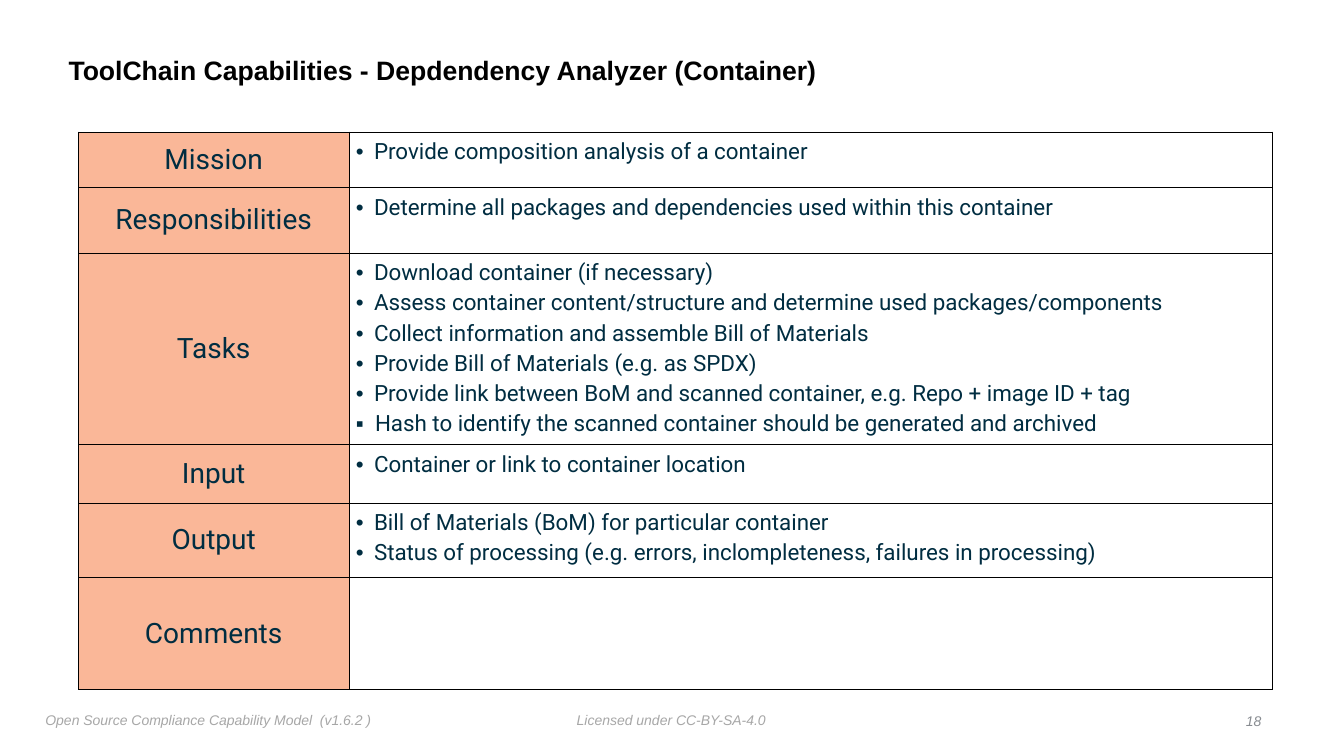
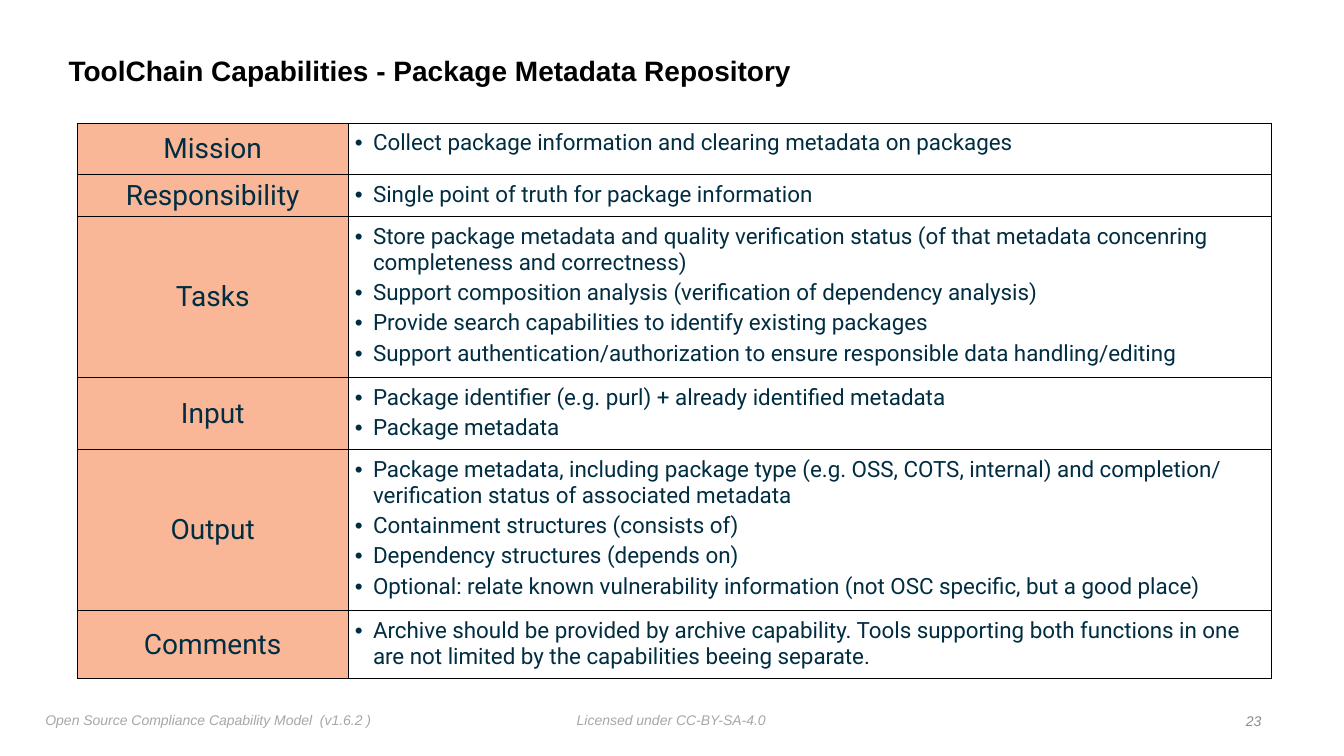
from dataclasses import dataclass

from lxml.etree import SubElement
from pptx import Presentation
from pptx.dml.color import RGBColor
from pptx.enum.text import MSO_ANCHOR, MSO_AUTO_SIZE, PP_ALIGN
from pptx.oxml.ns import qn
from pptx.slide import Slide
from pptx.table import _Cell
from pptx.util import Inches, Pt

BLACK, NAVY, PEACH = "000000", "002D41", "FAB798"
FOOTER_GREY, NUMBER_GREY = "A7A7A7", "888C91"
LABEL_WIDTH, DETAIL_WIDTH = 2.68, 9.16
MARGINS = ("margin_left", "margin_top", "margin_right", "margin_bottom")

TITLE_FONT = {"name": "Arial", "bold": True}
FOOTER_FONT = {"name": "Arial", "size": Pt(10), "italic": True}
LABEL_FONT = {"name": "Roboto", "size": Pt(20)}
DETAIL_FONT = {"name": "Roboto", "size": Pt(16)}


@dataclass
class Bullet:
    text: str
    symbol: str = "•"
    indent: float = 0.18


@dataclass
class Row:
    label: str
    height: float
    bullets: list[str | Bullet]


@dataclass
class Capability:
    title: str
    title_size: int
    number: int
    left: float
    top: float
    rows: list[Row]


CAPABILITIES = [
    Capability("ToolChain Capabilities - Depdendency Analyzer (Container)", 19, 18, 0.78, 1.31, [
        Row("Mission", 0.55, ["Provide composition analysis of a container"]),
        Row("Responsibilities", 0.65, [
            "Determine all packages and dependencies used within this container",
        ]),
        Row("Tasks", 1.9, [
            "Download container (if necessary)",
            "Assess container content/structure and determine used packages/components",
            "Collect information and assemble Bill of Materials",
            "Provide Bill of Materials (e.g. as SPDX)",
            "Provide link between BoM and scanned container, e.g. Repo + image ID + tag",
            Bullet("Hash to identify the scanned container should be generated and archived",
                   "▪", 0.19),
        ]),
        Row("Input", 0.58, ["Container or link to container location"]),
        Row("Output", 0.74, [
            "Bill of Materials (BoM) for particular container",
            "Status of processing (e.g. errors, inclompleteness, failures in processing)",
        ]),
        Row("Comments", 1.11, []),
    ]),
    Capability("ToolChain Capabilities - Package Metadata Repository", 20, 23, 0.77, 1.22, [
        Row("Mission", 0.51, ["Collect package information and clearing metadata on packages"]),
        Row("Responsibility", 0.42, ["Single point of truth for package information"]),
        Row("Tasks", 1.57, [
            "Store package metadata and quality verification status (of that metadata concenring "
            "completeness and correctness)",
            "Support composition analysis (verification of dependency analysis)",
            "Provide search capabilities to identify existing packages",
            "Support authentication/authorization to ensure responsible data handling/editing",
        ]),
        Row("Input", 0.71, [
            "Package identifier (e.g. purl) + already identified metadata",
            "Package metadata",
        ]),
        Row("Output", 1.57, [
            "Package metadata, including package type (e.g. OSS, COTS, internal) and completion/ "
            "verification status of associated metadata",
            "Containment structures (consists of)",
            "Dependency structures (depends on)",
            "Optional: relate known vulnerability information (not OSC specific, but a good place)",
        ]),
        Row("Comments", 0.67, [
            "Archive should be provided by archive capability. Tools supporting both functions in "
            "one are not limited by the capabilities beeing separate.",
        ]),
    ]),
]


def set_font(font, values: dict, color: str) -> None:
    for name, value in values.items():
        setattr(font, name, value)
    font.color.rgb = RGBColor.from_string(color)


def set_margins(target, inches: float) -> None:
    for name in MARGINS:
        setattr(target, name, Inches(inches))


def add_text(slide: Slide, text: str, box: tuple[float, ...], font: dict, color: str,
             align=PP_ALIGN.LEFT, anchor=MSO_ANCHOR.TOP, wrap: bool = False):
    frame = slide.shapes.add_textbox(*map(Inches, box)).text_frame
    set_margins(frame, 0.05)
    frame.word_wrap = wrap
    frame.auto_size = MSO_AUTO_SIZE.NONE if wrap else MSO_AUTO_SIZE.SHAPE_TO_FIT_TEXT
    frame.vertical_anchor = anchor
    paragraph = frame.paragraphs[0]
    paragraph.text = text
    paragraph.alignment = align
    set_font(paragraph.font, font, color)
    return paragraph


def add_borders(cell: _Cell) -> None:
    properties = cell._tc.get_or_add_tcPr()
    for side in ("lnL", "lnR", "lnT", "lnB"):
        line = SubElement(properties, qn(f"a:{side}"), w=str(Pt(0.5)))
        SubElement(SubElement(line, qn("a:solidFill")), qn("a:srgbClr"), val=BLACK)


def fill_label(cell: _Cell, label: str) -> None:
    add_borders(cell)
    set_margins(cell, 0)
    cell.fill.solid()
    cell.fill.fore_color.rgb = RGBColor.from_string(PEACH)
    cell.vertical_anchor = MSO_ANCHOR.MIDDLE
    paragraph = cell.text_frame.paragraphs[0]
    paragraph.text = label
    paragraph.alignment = PP_ALIGN.CENTER
    set_font(paragraph.font, LABEL_FONT, NAVY)


def fill_details(cell: _Cell, bullets: list[str | Bullet]) -> None:
    add_borders(cell)
    set_margins(cell, 0.07)
    cell.fill.background()
    frame = cell.text_frame
    for index, item in enumerate(bullets):
        bullet = item if isinstance(item, Bullet) else Bullet(item)
        paragraph = frame.add_paragraph() if index else frame.paragraphs[0]
        paragraph.text = bullet.text
        paragraph.space_before = Pt(3 if index else 0)
        properties = paragraph._p.get_or_add_pPr()
        properties.set("marL", str(Inches(bullet.indent)))
        properties.set("indent", str(-Inches(bullet.indent)))
        SubElement(properties, qn("a:buFont"), typeface="Arial")
        SubElement(properties, qn("a:buChar"), char=bullet.symbol)
        set_font(paragraph.font, DETAIL_FONT, NAVY)


def add_capability_table(slide: Slide, capability: Capability) -> None:
    rows = capability.rows
    box = (capability.left, capability.top, LABEL_WIDTH + DETAIL_WIDTH,
           sum(row.height for row in rows))
    table = slide.shapes.add_table(len(rows), 2, *map(Inches, box)).table
    table.first_row = table.horz_banding = False
    for column, width in zip(table.columns, (LABEL_WIDTH, DETAIL_WIDTH)):
        column.width = Inches(width)
    for index, row in enumerate(rows):
        table.rows[index].height = Inches(row.height)
        fill_label(table.cell(index, 0), row.label)
        fill_details(table.cell(index, 1), row.bullets)


def add_footer(slide: Slide, number: int) -> None:
    add_text(slide, "Licensed under CC-BY-SA-4.0", (5.67, 7.01, 1.99, 0.25),
             FOOTER_FONT, FOOTER_GREY)
    add_text(slide, "Open Source Compliance Capability Model  (v1.6.2 )",
             (0.4, 7.01, 3.41, 0.27), FOOTER_FONT, FOOTER_GREY)
    add_text(slide, str(number), (12.06, 7.03, 0.5, 0.25), FOOTER_FONT, NUMBER_GREY,
             PP_ALIGN.RIGHT, MSO_ANCHOR.MIDDLE, wrap=True)


def add_capability_slide(presentation, capability: Capability) -> None:
    slide = presentation.slides.add_slide(presentation.slide_layouts[6])
    title = add_text(slide, capability.title, (0.63, 0.39, 10.75, 0.65),
                     TITLE_FONT | {"size": Pt(capability.title_size)}, BLACK,
                     anchor=MSO_ANCHOR.MIDDLE, wrap=True)
    title.line_spacing = 0.9
    add_capability_table(slide, capability)
    add_footer(slide, capability.number)


def main() -> None:
    presentation = Presentation()
    presentation.slide_width = Inches(13.33)
    presentation.slide_height = Inches(7.5)
    for capability in CAPABILITIES:
        add_capability_slide(presentation, capability)
    presentation.save("out.pptx")


if __name__ == "__main__":
    main()
